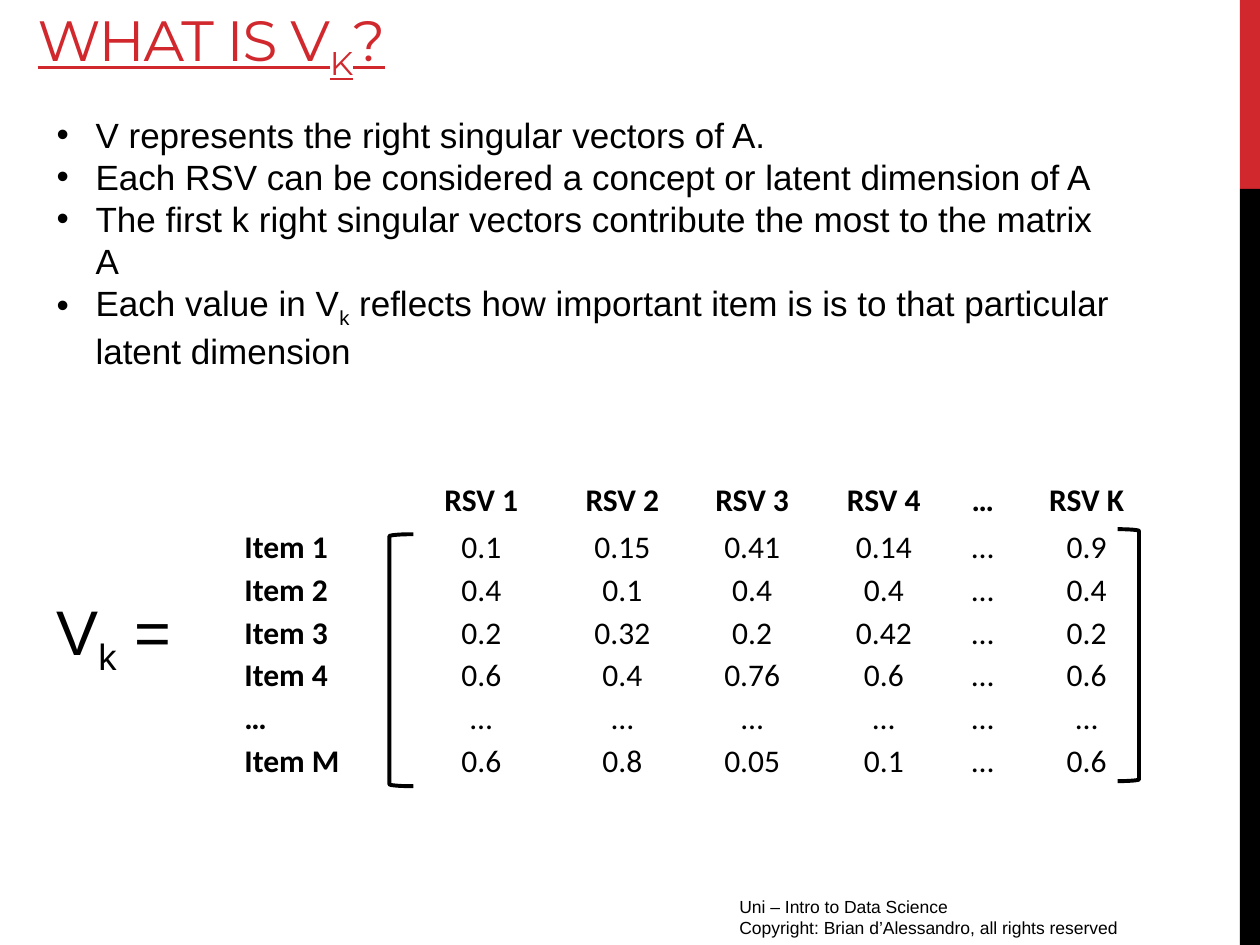
from dataclasses import dataclass
from typing import Any

from lxml import etree
from pptx import Presentation
from pptx.dml.color import RGBColor
from pptx.enum import shapes, text
from pptx.oxml import ns
from pptx.util import Inches, Pt

COLOURS = {"red": "D1282E", "black": "000000"}
FORMATS = {
    "title": {"name": "Montserrat", "size": Pt(32.4), "underline": True},
    "body": {"name": "Arial", "size": Pt(20)},
    "formula": {"name": "Arial", "size": Pt(36)},
    "footer": {"name": "Arial", "size": Pt(10)},
    "value": {"name": "Calibri", "size": Pt(18), "bold": False},
    "label": {"name": "Calibri", "size": Pt(18), "bold": True},
}
BULLET_INDENT = Inches(0.31)


@dataclass
class Place:
    left: float
    top: float
    width: float
    height: float

    def lengths(self) -> list[int]:
        return [Inches(n) for n in (self.left, self.top, self.width, self.height)]


@dataclass
class TextBlock:
    place: Place
    style: str
    lines: list[str]  # "_" stands before and after a subscript
    colour: str = "black"
    bullets: bool = False
    spacing: int = 0
    anchor: Any = text.MSO_ANCHOR.TOP


@dataclass
class Bar:
    place: Place
    colour: str


@dataclass
class Bracket:
    place: Place
    kind: Any


BARS = [Bar(Place(9.84, 0, 0.16, 1.5), "red"), Bar(Place(9.84, 1.5, 0.16, 6), "black")]

BLOCKS = [
    TextBlock(Place(5.77, 7.06, 3.75, 0.31), "footer", [
        "Uni – Intro to Data Science",
        "Copyright: Brian d’Alessandro, all rights reserved"]),
    TextBlock(Place(0.2, 0.07, 9.5, 0.63), "title", ["WHAT IS V_K_?"], "red",
              spacing=-60, anchor=text.MSO_ANCHOR.BOTTOM),
    TextBlock(Place(0.35, 4.65, 1.26, 0.71), "formula", ["V_k_ ="]),
    TextBlock(Place(0.35, 0.85, 8.61, 2.12), "body", [
        "V represents the right singular vectors of A.",
        "Each RSV can be considered a concept or latent dimension of A",
        "The first k right singular vectors contribute the most to the matrix A",
        "Each value in V_k_ reflects how important item is is to that particular "
        "latent dimension"], bullets=True),
]

BRACKETS = [
    Bracket(Place(3.09, 4.24, 0.19, 2), shapes.MSO_SHAPE.LEFT_BRACKET),
    Bracket(Place(8.87, 4.2, 0.17, 2), shapes.MSO_SHAPE.RIGHT_BRACKET),
]

MATRIX_PLACE = Place(1.93, 3.81, 7.28, 2.39)
COLUMN_WIDTHS = [1.3, 1.18, 1.06, 1, 1.09, 0.48, 1.17]
HEADER_HEIGHT, ROW_HEIGHT = 0.35, 0.34
MATRIX = [
    ["", "RSV 1", "RSV 2", "RSV 3", "RSV 4", "…", "RSV K"],
    ["Item 1", "0.1", "0.15", "0.41", "0.14", "…", "0.9"],
    ["Item 2", "0.4", "0.1", "0.4", "0.4", "…", "0.4"],
    ["Item 3", "0.2", "0.32", "0.2", "0.42", "…", "0.2"],
    ["Item 4", "0.6", "0.4", "0.76", "0.6", "…", "0.6"],
    ["…"] * 7,
    ["Item M", "0.6", "0.8", "0.05", "0.1", "…", "0.6"],
]


def colour_of(name: str) -> RGBColor:
    return RGBColor.from_string(COLOURS[name])


def set_font(font: Any, style: str, colour: str = "black") -> None:
    for key, value in FORMATS[style].items():
        setattr(font, key, value)
    font.color.rgb = colour_of(colour)


def add_bullet(para: Any) -> None:
    properties = para._p.get_or_add_pPr()
    properties.set("marL", str(BULLET_INDENT))
    properties.set("indent", str(-BULLET_INDENT))
    etree.SubElement(properties, ns.qn("a:buFont")).set("typeface", "Arial")
    etree.SubElement(properties, ns.qn("a:buChar")).set("char", "•")


def draw_text(page: Any, block: TextBlock) -> None:
    frame = page.shapes.add_textbox(*block.place.lengths()).text_frame
    frame.word_wrap = True
    frame.vertical_anchor = block.anchor
    for number, line in enumerate(block.lines):
        para = frame.add_paragraph() if number else frame.paragraphs[0]
        if block.bullets:
            add_bullet(para)
        for part, words in enumerate(line.split("_")):
            span = para.add_run()
            span.text = words
            set_font(span.font, block.style, block.colour)
            properties = span._r.get_or_add_rPr()
            if block.spacing:
                properties.set("spc", str(block.spacing))
            if part % 2:
                properties.set("baseline", "-25000")


def draw_bar(page: Any, bar: Bar) -> None:
    shape = page.shapes.add_shape(shapes.MSO_SHAPE.RECTANGLE, *bar.place.lengths())
    shape.shadow.inherit = False
    shape.fill.solid()
    shape.fill.fore_color.rgb = colour_of(bar.colour)
    shape.line.fill.background()


def draw_bracket(page: Any, bracket: Bracket) -> None:
    shape = page.shapes.add_shape(bracket.kind, *bracket.place.lengths())
    shape.shadow.inherit = False
    shape.fill.background()
    shape.line.color.rgb = colour_of("black")
    shape.line.width = Pt(2.25)


def draw_matrix(page: Any) -> None:
    table = page.shapes.add_table(
        len(MATRIX), len(COLUMN_WIDTHS), *MATRIX_PLACE.lengths()).table
    table.first_row = table.horz_banding = False
    for column, width in zip(table.columns, COLUMN_WIDTHS):
        column.width = Inches(width)
    for r, values in enumerate(MATRIX):
        table.rows[r].height = Inches(ROW_HEIGHT if r else HEADER_HEIGHT)
        for c, value in enumerate(values):
            cell = table.cell(r, c)
            cell.fill.background()
            cell.margin_left = cell.margin_right = cell.margin_top = Inches(0.01)
            cell.margin_bottom = 0
            cell.vertical_anchor = text.MSO_ANCHOR.BOTTOM if r else text.MSO_ANCHOR.TOP
            cell.text = value
            para = cell.text_frame.paragraphs[0]
            para.alignment = text.PP_ALIGN.CENTER if c else text.PP_ALIGN.LEFT
            for span in para.runs:
                set_font(span.font, "value" if r and c else "label")


def main() -> None:
    deck = Presentation()
    deck.slide_width, deck.slide_height = Inches(10), Inches(7.5)
    page = deck.slides.add_slide(deck.slide_layouts[6])

    # Edge bars
    for bar in BARS:
        draw_bar(page, bar)
    # Matrix with its brackets
    draw_matrix(page)
    for bracket in BRACKETS:
        draw_bracket(page, bracket)
    # Title, bullets, formula and footer
    for block in BLOCKS:
        draw_text(page, block)

    deck.save("out.pptx")


if __name__ == "__main__":
    main()
